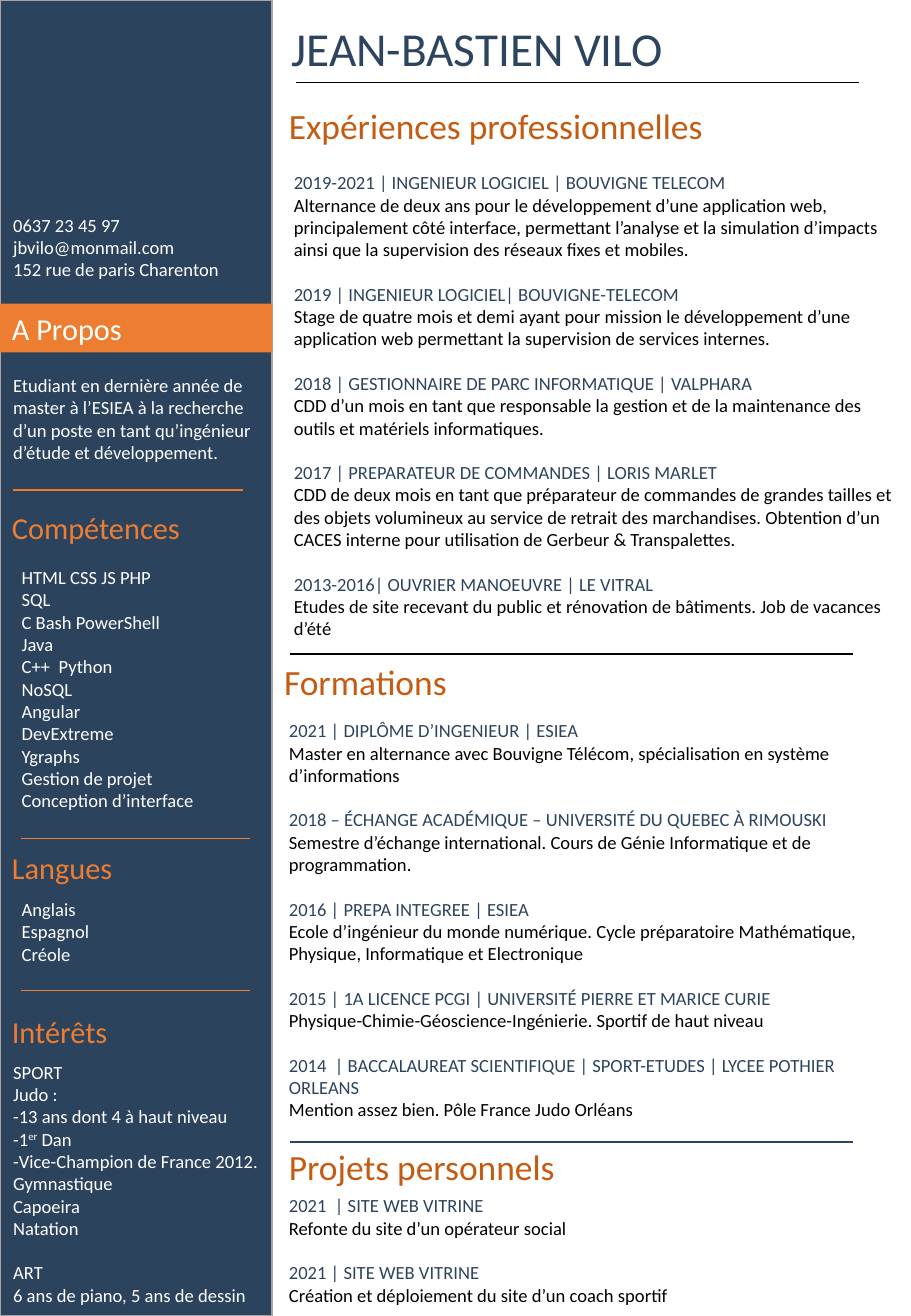
from pptx import Presentation
from pptx.dml.color import RGBColor
from pptx.enum.shapes import MSO_CONNECTOR, MSO_SHAPE
from pptx.enum.text import MSO_ANCHOR, MSO_AUTO_SIZE, PP_ALIGN
from pptx.oxml.ns import qn
from pptx.util import Inches, Pt

RECT, STRAIGHT = MSO_SHAPE.RECTANGLE, MSO_CONNECTOR.STRAIGHT
TOP, MIDDLE = MSO_ANCHOR.TOP, MSO_ANCHOR.MIDDLE
LEFT, FIXED = PP_ALIGN.LEFT, MSO_AUTO_SIZE.NONE

FONT = "Calibri"
NAVY, INK, ORANGE, RUST = "2C435D", "2D445E", "ED7D31", "C55A11"
WHITE, BLACK, GREY = "FFFFFF", "000000", "A6A6A6"
COLS, ROWS = 75, 108.3
SIDE = 22.4
LINE = 13.2

CONTACT = ["0637 23 45 97", "jbvilo@monmail.com", "152 rue de paris Charenton"]
ABOUT = ["Etudiant en dernière année de master à l’ESIEA à la recherche d’un poste "
         "en tant qu’ingénieur d’étude et développement."]
SKILLS = ["HTML CSS JS PHP", "SQL", "C Bash PowerShell", "Java", "C++  Python", "NoSQL",
          "Angular", "DevExtreme", "Ygraphs", "Gestion de projet", "Conception d’interface"]
TONGUES = ["Anglais", "Espagnol", "Créole"]
SPORT = ["SPORT", "Judo :", "-13 ans dont 4 à haut niveau", "-1^er^ Dan",
         "-Vice-Champion de France 2012.", "Gymnastique", "Capoeira", "Natation"]
ART = ["ART", "6 ans de piano, 5 ans de dessin"]
JOBS = [
    ("2019-2021 | INGENIEUR LOGICIEL | BOUVIGNE TELECOM",
     "Alternance de deux ans pour le développement d’une application web, principalement "
     "côté interface, permettant l’analyse et la simulation d’impacts ainsi que la "
     "supervision des réseaux fixes et mobiles."),
    ("2019 | INGENIEUR LOGICIEL| BOUVIGNE-TELECOM",
     "Stage de quatre mois et demi ayant pour mission le développement d’une application "
     "web permettant la supervision de services internes."),
    ("2018 | GESTIONNAIRE DE PARC INFORMATIQUE | VALPHARA",
     "CDD d’un mois en tant que responsable la gestion et de la maintenance des outils et "
     "matériels informatiques."),
    ("2017 | PREPARATEUR DE COMMANDES | LORIS MARLET",
     "CDD de deux mois en tant que préparateur de commandes de grandes tailles et des "
     "objets volumineux au service de retrait des marchandises. Obtention d’un CACES "
     "interne pour utilisation de Gerbeur & Transpalettes."),
    ("2013-2016| OUVRIER MANOEUVRE | LE VITRAL",
     "Etudes de site recevant du public et rénovation de bâtiments. Job de vacances d’été"),
]
STUDIES = [
    ("2021 | DIPLÔME D’INGENIEUR | ESIEA",
     "Master en alternance avec Bouvigne Télécom, spécialisation en système d’informations"),
    ("2018 – ÉCHANGE ACADÉMIQUE – UNIVERSITÉ DU QUEBEC À RIMOUSKI",
     "Semestre d’échange international. Cours de Génie Informatique et de programmation."),
    ("2016 | PREPA INTEGREE | ESIEA",
     "Ecole d’ingénieur du monde numérique. Cycle préparatoire Mathématique, Physique, "
     "Informatique et Electronique"),
    ("2015 | 1A LICENCE PCGI | UNIVERSITÉ PIERRE ET MARICE CURIE",
     "Physique-Chimie-Géoscience-Ingénierie. Sportif de haut niveau"),
    ("2014  | BACCALAUREAT SCIENTIFIQUE | SPORT-ETUDES | LYCEE POTHIER ORLEANS",
     "Mention assez bien. Pôle France Judo Orléans"),
]
PROJECTS = [
    ("2021  | SITE WEB VITRINE", "Refonte du site d’un opérateur social"),
    ("2021 | SITE WEB VITRINE", "Création et déploiement du site d’un coach sportif"),
]


def color(code):
    """Turn a hex string into a colour."""
    return RGBColor.from_string(code)


def grid(*cells):
    """Turn grid cells into lengths."""
    return [Inches(cell / 10) for cell in cells]


def style(para, size, tint):
    """Format every run of a paragraph."""
    para.alignment = LEFT
    for run in para.runs:
        run.font.name, run.font.size = FONT, Pt(size)
        run.font.color.rgb = color(tint)


def label(frame, text, size, tint, anchor=TOP):
    """Write one styled line in a frame."""
    frame.text = text
    frame.word_wrap, frame.auto_size = True, FIXED
    frame.vertical_anchor = anchor
    style(frame.paragraphs[0], size, tint)


def block(slide, box, groups):
    """Write groups of (text, tint) lines, one line of space between groups."""
    frame = slide.shapes.add_textbox(*grid(*box)).text_frame
    frame.word_wrap = True
    para = frame.paragraphs[0]
    for i, group in enumerate(groups):
        for j, (text, tint) in enumerate(group):
            if i or j:
                para = frame.add_paragraph()
            if i and not j:
                para.space_before = Pt(LINE)
            for k, part in enumerate(text.split("^")):
                run = para.add_run()
                run.text = part
                if k % 2:
                    run._r.get_or_add_rPr().set("baseline", "30000")
            style(para, 11, tint)


def rule(slide, x, y, width, tint):
    """Draw a level line."""
    line = slide.shapes.add_connector(STRAIGHT, *grid(x, y, x + width, y))
    line.line.color.rgb = color(tint)
    line.line.width = Pt(1)
    props = line._element.spPr
    props.append(props.makeelement(qn("a:effectLst"), {}))


def panel(slide, box, fill, edge=None):
    """Draw a filled rectangle."""
    shape = slide.shapes.add_shape(RECT, *grid(*box))
    shape.shadow.inherit = False
    shape.fill.solid()
    shape.fill.fore_color.rgb = color(fill)
    if edge:
        shape.line.color.rgb = color(edge)
        shape.line.width = Pt(1)
    else:
        shape.line.fill.background()
    return shape


def section(slide, box, title, look, groups, indent, gap):
    """Place a heading at the top of a box and its text a gap below."""
    x, y, width, height = box
    head = slide.shapes.add_textbox(*grid(x, y, width, 4.5))
    label(head.text_frame, title, *look)
    block(slide, (x + indent, y + gap, width, height - gap), groups)


def sidebar(slide, box):
    """Fill the dark column."""
    x, y, width, height = box
    panel(slide, box, NAVY, GREY)
    white = lambda *lists: [[(text, WHITE) for text in lines] for lines in lists]
    block(slide, (x + 0.1, y + 17.1, 22, 6.6), white(CONTACT))
    banner = panel(slide, (x, y + 25, width, 4), ORANGE)
    label(banner.text_frame, "A Propos", 18, WHITE, MIDDLE)
    block(slide, (x + 0.1, y + 30.3, 21.6, 8.4), white(ABOUT))
    look = (18, ORANGE)
    section(slide, (x, y + 41.4, 21.6, 26), "Compétences", look, white(SKILLS), 0.8, 4.7)
    section(slide, (x, y + 69.4, 21.6, 10.6), "Langues", look, white(TONGUES), 0.8, 4)
    section(slide, (x, y + 82.9, 24, 25), "Intérêts", look, white(SPORT, ART), 0.1, 3.9)
    for left, top in [(1.1, 40.3), (1.7, 69), (1.7, 81.5)]:
        rule(slide, x + left, y + top, 18.9, ORANGE)


def career(slide, box):
    """Fill the light column."""
    x, y, width, height = box
    title = slide.shapes.title
    title.left, title.top, title.width, title.height = grid(x + 0.6, y + 1.1, 46, 5.7)
    label(title.text_frame, "JEAN-BASTIEN VILO", 28, INK)
    parts = [
        ("Expériences professionnelles", JOBS, 0.4, 8.1, 45.3, 0.4, 5.5),
        ("Formations", STUDIES, 0, 53.8, 39.2, 0.4, 4.9),
        ("Projets personnels", PROJECTS, 0.4, 93.7, 14, 0, 4.1),
    ]
    for name, items, left, top, tall, indent, gap in parts:
        groups = [[(head, INK), (text, BLACK)] for head, text in items]
        section(slide, (x + left, y + top, width - 0.8, tall), name, (21, RUST),
                groups, indent, gap)
    for left, top, tint in [(2, 6.8, BLACK), (1.5, 53.8, BLACK), (1.5, 94, INK)]:
        rule(slide, x + left, y + top, 46.3, tint)


def main():
    """Build the page."""
    deck = Presentation()
    deck.slide_width, deck.slide_height = grid(COLS, ROWS)
    slide = deck.slides.add_slide(deck.slide_layouts[5])
    sidebar(slide, (0, 0, SIDE, ROWS))
    career(slide, (SIDE, 0, COLS - SIDE, ROWS))
    deck.save("out.pptx")


if __name__ == "__main__":
    main()
